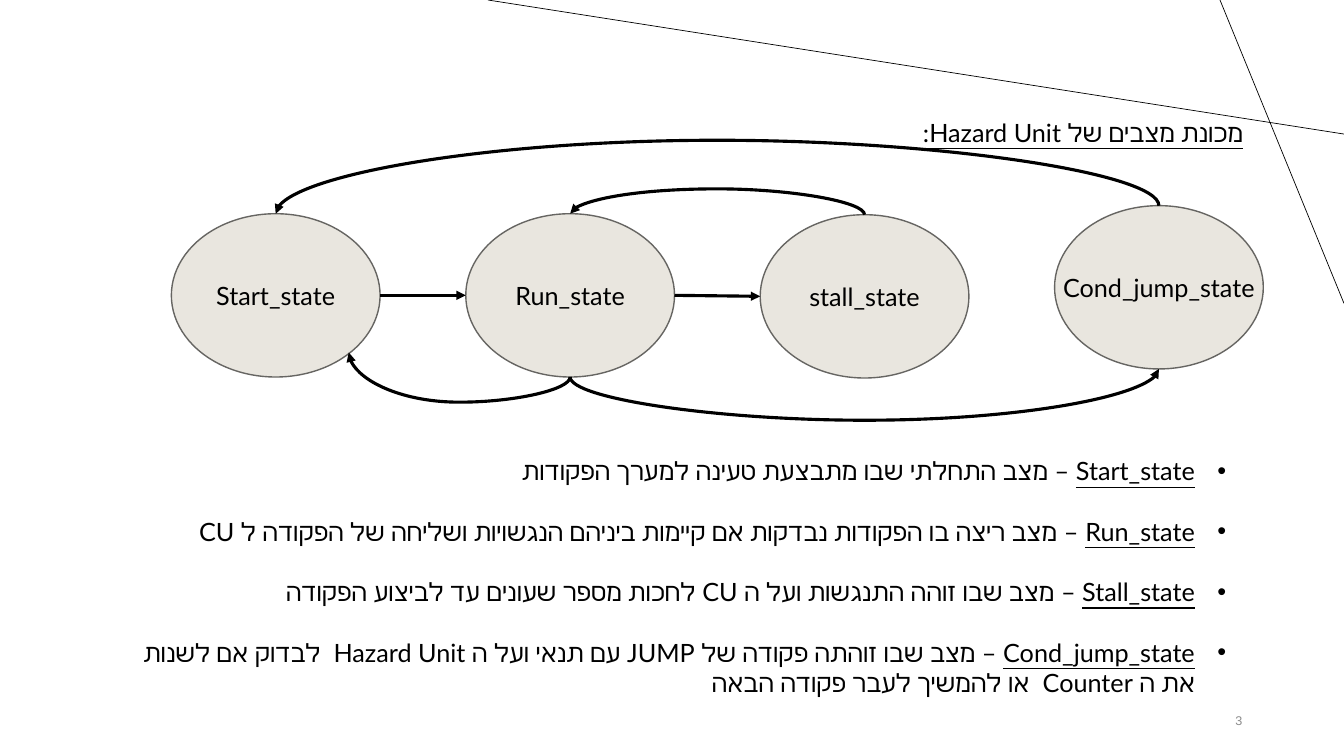
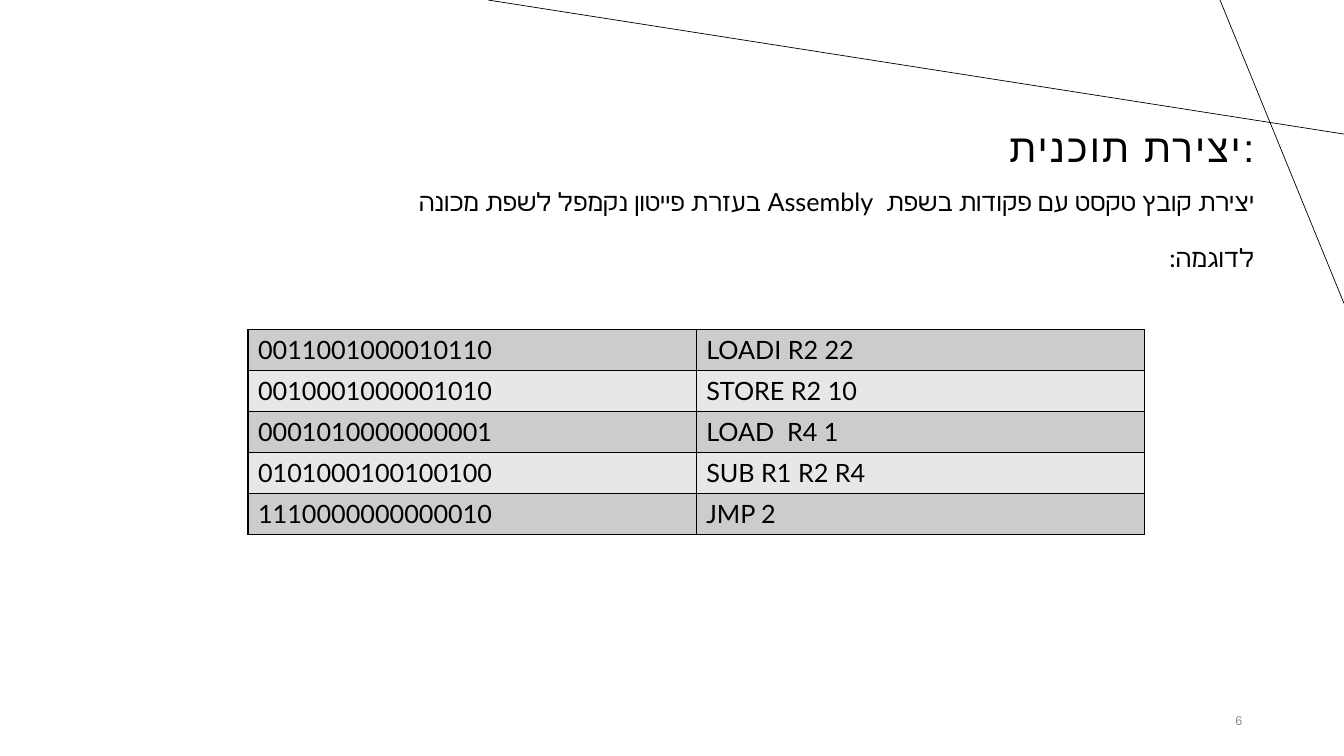
"""Build two slides on a hazard unit state machine and program creation."""
from dataclasses import dataclass

from lxml import etree
from pptx import Presentation
from pptx import util as u
from pptx.dml.color import RGBColor
from pptx.enum import shapes, text
from pptx.oxml import ns

COLORS = {"ink": "000000", "paper": "FFFFFF", "number": "8C8C8C", "state": "E9E6DF",
          "state_edge": "666562", "dark_row": "CCCCCC", "light_row": "E7E7E7"}
BODY_FONT, TITLE_FONT = "Lato", "Arial"
RIGHT, LEFT, CENTER = text.PP_ALIGN.RIGHT, text.PP_ALIGN.LEFT, text.PP_ALIGN.CENTER
TOP, MIDDLE, BOTTOM = text.MSO_ANCHOR.TOP, text.MSO_ANCHOR.MIDDLE, text.MSO_ANCHOR.BOTTOM

STATE_W, STATE_H, STATE_LEFT, STATE_PITCH = 2.07, 1.62, 1.7, 2.92
SITES = {"top": (0, 0.5, 0), "bottom": (4, 0.5, 1),
         "lower_right": (5, 0.85, 0.85), "left": (2, 0, 0.5), "right": (6, 1, 0.5)}


@dataclass
class State:
    name: str
    column: int
    top: float

    def site(self, name: str) -> tuple[float, float]:
        _, across, down = SITES[name]
        left = STATE_LEFT + self.column * STATE_PITCH
        return left + across * STATE_W, self.top + down * STATE_H


@dataclass
class Transition:
    source: int
    source_site: str
    target: int
    target_site: str
    bulge: float | None = None


STATES = [State("Start_state", 0, 2.12), State("Run_state", 1, 2.12),
          State("stall_state", 2, 2.13), State("Cond_jump_state", 3, 2.04)]
TRANSITIONS = [
    Transition(0, "right", 1, "left"),
    Transition(1, "right", 2, "left"),
    Transition(1, "bottom", 0, "lower_right", 3.99),
    Transition(2, "top", 1, "top", 1.87),
    Transition(3, "top", 0, "top", 1.39),
    Transition(1, "bottom", 3, "bottom", 4.17),
]
DEFINITIONS = [
    ("Start_state", " – מצב התחלתי שבו מתבצעת טעינה למערך הפקודות"),
    ("Run_state", " – מצב ריצה בו הפקודות נבדקות אם קיימות ביניהם הנגשויות ושליחה של הפקודה ל CU"),
    ("Stall_state", " – מצב שבו זוהה התנגשות ועל ה CU לחכות מספר שעונים עד לביצוע הפקודה"),
    ("Cond_jump_state", " – מצב שבו זוהתה פקודה של JUMP עם תנאי ועל ה Hazard Unit  לבדוק אם לשנות "
                        "את ה Counter  או להמשיך לעבר פקודה הבאה"),
]
PROGRAM = [("0011001000010110", "LOADI R2 22"), ("0010001000001010", "STORE R2 10"),
           ("0001010000000001", "LOAD  R4 1"), ("0101000100100100", "SUB R1 R2 R4"),
           ("1110000000000010", "JMP 2")]


def rgb(name: str) -> RGBColor:
    return RGBColor.from_string(COLORS[name])


def add_node(parent, tag: str, **attributes):
    node = etree.SubElement(parent, ns.qn(tag))
    for key, value in attributes.items():
        node.set(key, str(value))
    return node


def add_span(para, words: str, *, size: float = 18, font: str = BODY_FONT,
             color: str = "ink", underline: bool = False, spacing: int = 0) -> None:
    span = para.add_run()
    span.text = words
    span.font.size = u.Pt(size)
    span.font.color.rgb = rgb(color)
    span.font.name = font
    span.font.underline = underline
    properties = span._r.get_or_add_rPr()
    add_node(properties, "a:cs", typeface=font)
    if spacing:
        properties.set("spc", str(spacing))


def format_para(para, *, align=LEFT, rtl: bool = False, bullet: bool = False) -> None:
    para.alignment = align
    properties = para._p.get_or_add_pPr()
    if rtl:
        properties.set("rtl", "1")
    if bullet:
        properties.set("marL", str(u.Inches(0.31)))
        properties.set("indent", str(u.Inches(-0.31)))
        add_node(properties, "a:buFont", typeface="Arial")
        add_node(properties, "a:buChar", char="•")


def write(frame, words: str, *, align=LEFT, rtl: bool = False, anchor=TOP,
          wrap: bool = True, **look):
    frame.word_wrap = wrap
    frame.auto_size = text.MSO_AUTO_SIZE.NONE
    frame.vertical_anchor = anchor
    para = frame.paragraphs[0]
    format_para(para, align=align, rtl=rtl)
    add_span(para, words, **look)
    return para


def add_text(page, bounds: tuple[float, ...], words: str, **look) -> None:
    box = page.shapes.add_textbox(*map(u.Inches, bounds))
    write(box.text_frame, words, **look)


def set_title(page, bounds: tuple[float, ...], words: str, **look):
    title = page.shapes.title
    title.left, title.top, title.width, title.height = map(u.Inches, bounds)
    return write(title.text_frame, words, align=RIGHT, **look)


def add_line(page, start: tuple[float, float], end: tuple[float, float], *,
             width: float, arrow: bool = False, curved: bool = False):
    kind = shapes.MSO_CONNECTOR.CURVE if curved else shapes.MSO_CONNECTOR.STRAIGHT
    line = page.shapes.add_connector(kind, *map(u.Inches, (*start, *end)))
    line.line.width = u.Pt(width)
    line.line.color.rgb = rgb("ink")
    if arrow:
        add_node(line.line._get_or_add_ln(), "a:tailEnd", type="triangle")
    add_node(line.element.spPr, "a:effectLst")
    return line


def bend(line, start: tuple[float, float], end: tuple[float, float], bulge: float) -> None:
    (x1, y1), (x2, y2) = start, end
    width, height = abs(y2 - y1), abs(x2 - x1)
    downward = bulge > y1
    line.left, line.top = u.Inches((x1 + x2 - width) / 2), u.Inches((y1 + y2 - height) / 2)
    line.width, line.height = u.Inches(width), u.Inches(height)
    frame = line.element.spPr.find(ns.qn("a:xfrm"))
    frame.set("rot", str((90 if downward else 270) * 60000))
    frame.set("flipH", str(int((y2 < y1) == downward)))
    frame.set("flipV", str(int((x2 > x1) == downward)))
    geometry = line.element.spPr.find(ns.qn("a:prstGeom"))
    for old in geometry.findall(ns.qn("a:avLst")):
        geometry.remove(old)
    ratio = round((bulge - y1) / (y2 - y1) * 100000)
    add_node(add_node(geometry, "a:avLst"), "a:gd", name="adj1", fmla=f"val {ratio}")


def add_state(page, state: State):
    left, _ = state.site("left")
    oval = page.shapes.add_shape(shapes.MSO_SHAPE.OVAL,
                                 *map(u.Inches, (left, state.top, STATE_W, STATE_H)))
    oval.shadow.inherit = False
    oval.fill.solid()
    oval.fill.fore_color.rgb = rgb("state")
    oval.line.color.rgb = rgb("state_edge")
    oval.line.width = u.Pt(1)
    write(oval.text_frame, state.name, align=CENTER, anchor=MIDDLE, wrap=False)
    return oval


def add_transition(page, move: Transition, ovals: list) -> None:
    start = STATES[move.source].site(move.source_site)
    end = STATES[move.target].site(move.target_site)
    line = add_line(page, start, end, width=2.25, arrow=True, curved=move.bulge is not None)
    if move.bulge is not None:
        bend(line, start, end, move.bulge)
    links = line.element.find(".//" + ns.qn("p:cNvCxnSpPr"))
    add_node(links, "a:stCxn", id=ovals[move.source].shape_id, idx=SITES[move.source_site][0])
    add_node(links, "a:endCxn", id=ovals[move.target].shape_id, idx=SITES[move.target_site][0])


def add_definitions(page) -> None:
    box = page.shapes.add_textbox(*map(u.Inches, (1.03, 4.47, 11.23, 2.55)))
    frame = box.text_frame
    frame.word_wrap = True
    for index, (term, meaning) in enumerate(DEFINITIONS):
        para = frame.add_paragraph() if index else frame.paragraphs[0]
        if index:
            para.space_before = u.Pt(21.6)
        format_para(para, align=RIGHT, rtl=True, bullet=True)
        add_span(para, term, underline=True)
        add_span(para, meaning)


def add_program(page) -> None:
    frame = page.shapes.add_table(len(PROGRAM), 2,
                                  *map(u.Inches, (2.46, 3.27, 8.89, 2.03)))
    table = frame.table
    table.first_row = table.horz_banding = False
    for number, row in enumerate(PROGRAM):
        for column, words in enumerate(row):
            cell = table.cell(number, column)
            properties = cell._tc.get_or_add_tcPr()
            for side in ("a:lnL", "a:lnR", "a:lnT", "a:lnB"):
                border = add_node(properties, side, w=u.Pt(1))
                add_node(add_node(border, "a:solidFill"), "a:srgbClr", val=COLORS["ink"])
            cell.fill.solid()
            cell.fill.fore_color.rgb = rgb("dark_row" if number % 2 == 0 else "light_row")
            add_span(cell.text_frame.paragraphs[0], words)


def decorate(page, layout) -> None:
    for start, end in (((13.33, 1.33), (4.84, 0)), ((12.1, 0), (13.33, 3.01))):
        line = add_line(page, start, end, width=0.5)
        layout.shapes.element.append(line.element)


def add_page(deck, number: str):
    page = deck.slides.add_slide(deck.slide_layouts[5])
    add_text(page, (11.34, 6.95, 1.08, 0.4), number, align=RIGHT, anchor=MIDDLE,
             size=9, font=TITLE_FONT, color="number")
    return page


def build_states(page) -> None:
    set_title(page, (5.56, 1.11, 6.87, 0.71), "מכונת מצבים של Hazard Unit:",
              rtl=True, underline=True)
    ovals = [add_state(page, state) for state in STATES]
    for move in TRANSITIONS:
        add_transition(page, move, ovals)
    add_definitions(page)


def build_program(page) -> None:
    para = set_title(page, (6.11, 1.16, 6.43, 0.59), "יצירת תוכנית:", anchor=BOTTOM,
                     size=28, font=TITLE_FONT, spacing=150)
    para.line_spacing = 0.9
    for top, words in ((1.8, "יצירת קובץ טקסט עם פקודות בשפת  Assembly בעזרת פייטון נקמפל לשפת מכונה"),
                       (2.35, "לדוגמה:")):
        add_text(page, (3.97, top, 8.57, 0.4), words, align=RIGHT, rtl=True)
    add_program(page)


def main() -> None:
    deck = Presentation()
    deck.slide_width, deck.slide_height = u.Inches(13.33), u.Inches(7.5)
    background = deck.slide_master.background.fill
    background.solid()
    background.fore_color.rgb = rgb("paper")
    states_page = add_page(deck, "3")
    decorate(states_page, states_page.slide_layout)
    build_states(states_page)
    build_program(add_page(deck, "6"))
    deck.save("out.pptx")


if __name__ == "__main__":
    main()
